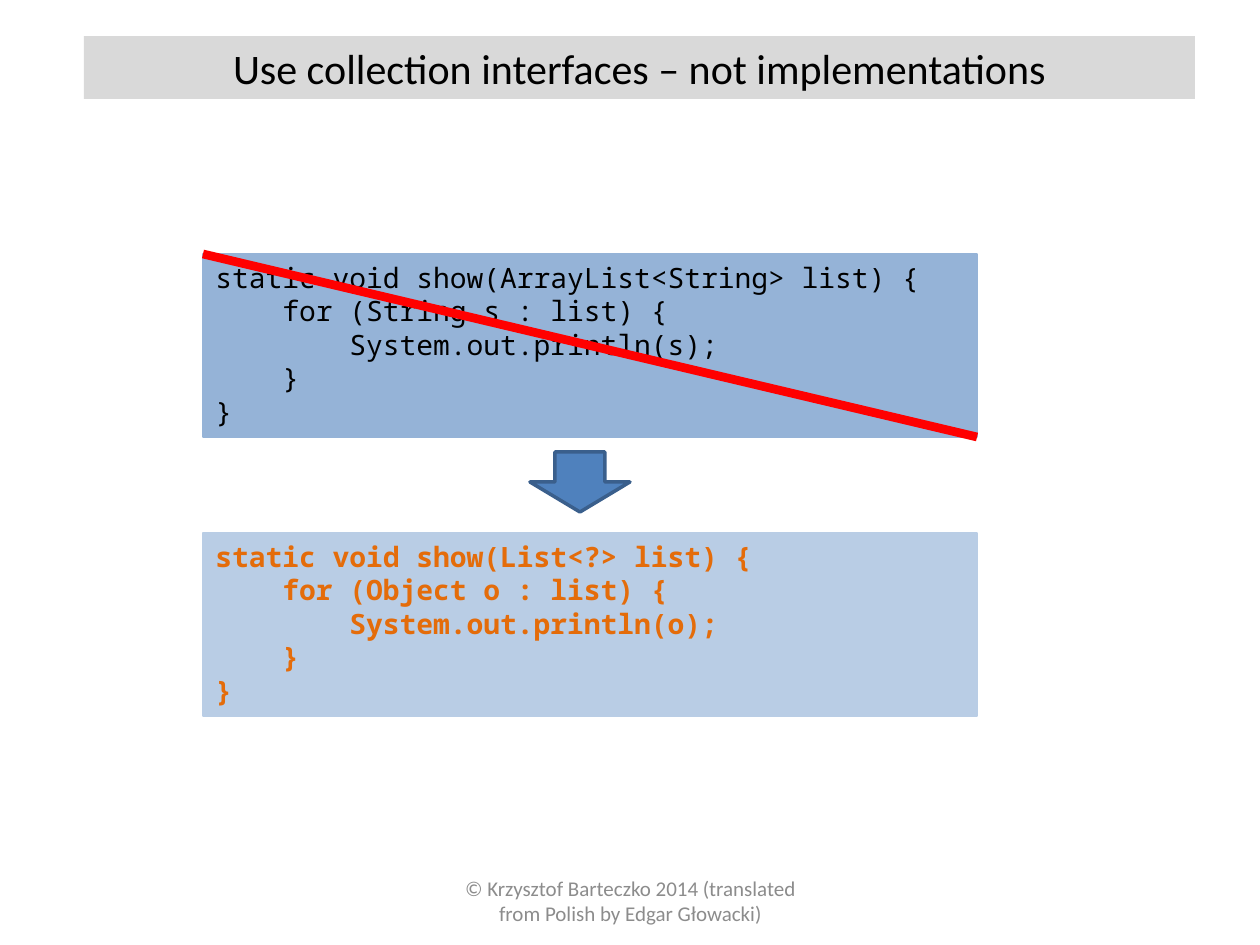
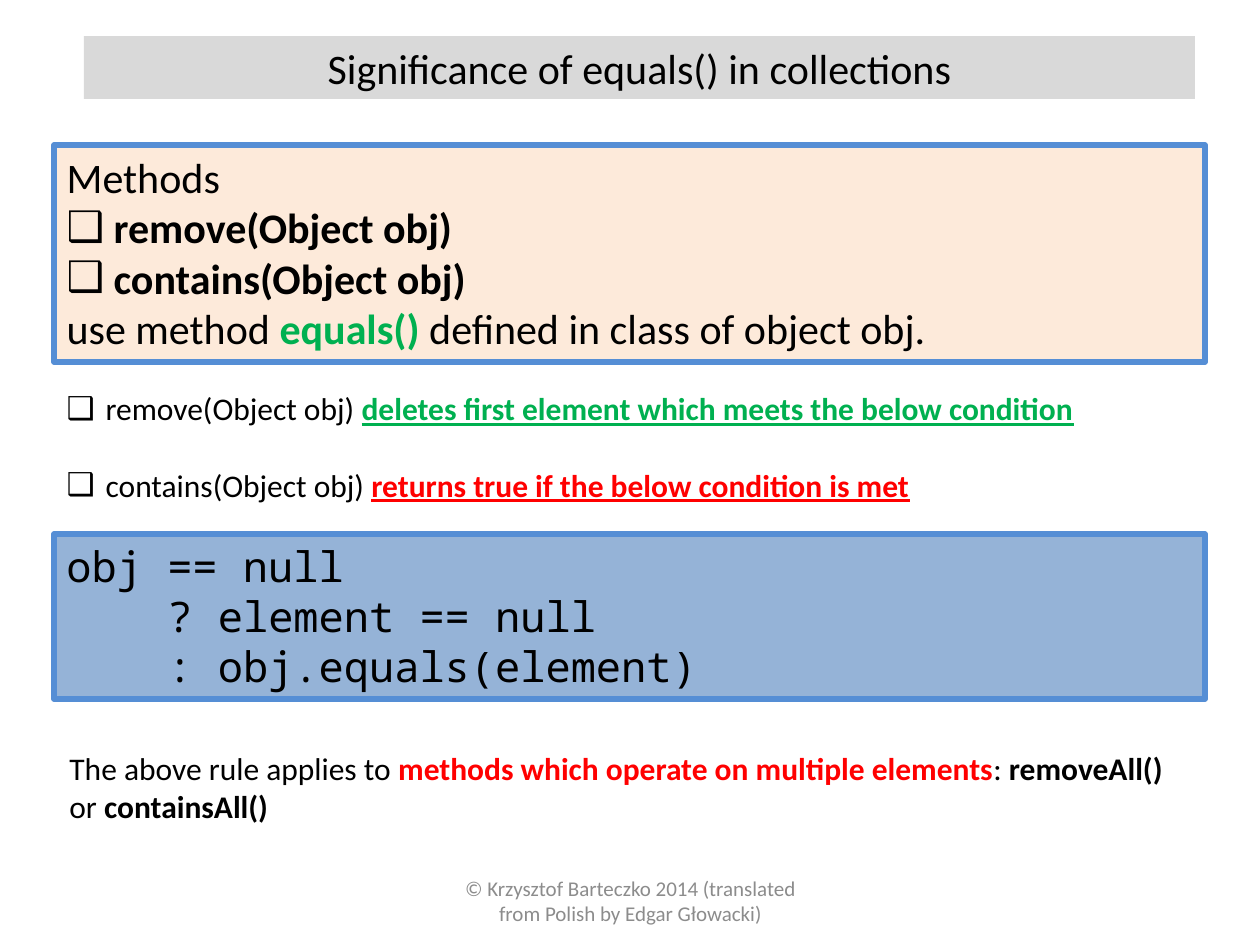
"""Build two slides on Java collection interfaces and equals()."""
from dataclasses import dataclass
from typing import NamedTuple, Optional

from lxml import etree
from pptx import Presentation
from pptx import util as u
from pptx.dml.color import RGBColor
from pptx.enum import shapes, text
from pptx.oxml.ns import qn

PIXELS_PER_INCH = 126
CODE_INDENT_PER_POINT = 4.2
FOOTER = "© Krzysztof Barteczko 2014 (translated from Polish by Edgar Głowacki)"


@dataclass(frozen=True)
class Theme:
    """Colours, fonts and type sizes of the deck."""
    body_font: str = "Calibri"
    code_font: str = "Noto Sans Mono"
    black: str = "000000"
    white: str = "FFFFFF"
    grey: str = "8C8C8C"
    title_band: str = "D9D9D9"
    code_fill: str = "95B3D7"
    light_code_fill: str = "B9CDE5"
    peach: str = "FDEADA"
    border: str = "558ED5"
    arrow_fill: str = "4F81BD"
    arrow_line: str = "3A5F8C"
    red: str = "FF0000"
    green: str = "00B050"
    orange: str = "E46C0A"
    large: int = 24
    medium: int = 18
    code: int = 16
    small: int = 12


THEME = Theme()


class Box(NamedTuple):
    """Position and size in pixels."""
    left: int
    top: int
    width: int
    height: int


class Span(NamedTuple):
    """A piece of text with its emphasis."""
    text: str
    color: str = THEME.black
    bold: bool = False
    underline: bool = False


class Line(NamedTuple):
    """A paragraph of spans, with indents in pixels and space in points."""
    spans: tuple
    bullet: str = ""
    margin: int = 0
    hanging: int = 0
    space_before: int = 0


class CodeLine(NamedTuple):
    """A line of code at an indent level."""
    level: int
    text: str


@dataclass(frozen=True)
class CodePanel:
    """A filled panel of code."""
    box: Box
    lines: tuple
    fill: str
    border: str
    border_width: float = 0.75
    size: int = THEME.code
    color: str = THEME.black
    bold: bool = False


def px(value: float) -> int:
    """Turn pixels into EMU."""
    return round(value * u.Inches(1) / PIXELS_PER_INCH)


def place(shape, box: Box) -> None:
    """Move and size a shape."""
    shape.left, shape.top, shape.width, shape.height = map(px, box)


def paint(shape, fill: str, border: Optional[str] = None, width: float = 0) -> None:
    """Set the fill and outline of a shape."""
    shape.fill.solid()
    shape.fill.fore_color.rgb = RGBColor.from_string(fill)
    if border is None:
        shape.line.fill.background()
    else:
        shape.line.color.rgb = RGBColor.from_string(border)
        shape.line.width = u.Pt(width)


def add_run(paragraph, content: str, *, size: float, color: str = THEME.black,
            font: str = THEME.body_font, bold: bool = False, underline: bool = False) -> None:
    """Append formatted text to a paragraph."""
    run = paragraph.add_run()
    run.text = content
    run.font.name = font
    run.font.size = u.Pt(size)
    run.font.bold = bold
    run.font.underline = underline
    run.font.color.rgb = RGBColor.from_string(color)


def indent(paragraph, line: Line) -> None:
    """Set the indents and the bullet of a paragraph."""
    properties = paragraph._p.get_or_add_pPr()
    properties.set("marL", str(px(line.margin)))
    properties.set("indent", str(-px(line.hanging)))
    if line.bullet:
        etree.SubElement(properties, qn("a:buChar")).set("char", line.bullet)
    else:
        etree.SubElement(properties, qn("a:buNone"))


def fill_text(shape, lines, *, size: float, font: str = THEME.body_font,
              align=text.PP_ALIGN.LEFT, anchor=text.MSO_ANCHOR.TOP) -> None:
    """Write lines into the text frame of a shape."""
    frame = shape.text_frame
    frame.word_wrap = True
    frame.auto_size = text.MSO_AUTO_SIZE.NONE
    frame.vertical_anchor = anchor
    for index, line in enumerate(lines):
        paragraph = frame.add_paragraph() if index else frame.paragraphs[0]
        paragraph.alignment = align
        paragraph.space_before = u.Pt(line.space_before)
        indent(paragraph, line)
        for span in line.spans:
            add_run(paragraph, span.text, size=size, font=font, color=span.color,
                    bold=span.bold, underline=span.underline)


def add_text_box(slide, box: Box, line: Line, *, size: float, **layout) -> None:
    """Add a text box with one paragraph."""
    fill_text(slide.shapes.add_textbox(*map(px, box)), [line], size=size, **layout)


def add_preset(slide, kind, box: Box, fill: str, border: str, width: float):
    """Add a painted preset shape without a shadow."""
    shape = slide.shapes.add_shape(kind, *map(px, box))
    shape.shadow.inherit = False
    paint(shape, fill, border, width)
    return shape


def add_code(slide, panel: CodePanel) -> None:
    """Add a panel of indented code."""
    shape = add_preset(slide, shapes.MSO_SHAPE.RECTANGLE, panel.box,
                       panel.fill, panel.border, panel.border_width)
    step = round(panel.size * CODE_INDENT_PER_POINT)
    lines = [Line((Span(line.text, panel.color, panel.bold),), margin=line.level * step)
             for line in panel.lines]
    fill_text(shape, lines, size=panel.size, font=THEME.code_font)


def add_strike(slide, box: Box, color: str, width: float) -> None:
    """Add a diagonal line across a box."""
    line = slide.shapes.add_connector(
        shapes.MSO_CONNECTOR.STRAIGHT, px(box.left), px(box.top),
        px(box.left + box.width), px(box.top + box.height))
    line.line.color.rgb = RGBColor.from_string(color)
    line.line.width = u.Pt(width)
    etree.SubElement(line._element.spPr, qn("a:effectLst"))


def add_list(placeholder, box: Box, lines, *, size: float, fill: str, border: str) -> None:
    """Format a body placeholder as a bordered list."""
    place(placeholder, box)
    paint(placeholder, fill, border, 3.25)
    fill_text(placeholder, lines, size=size)


def add_slide(presentation, layout: str, title: str):
    """Add a slide with the title band and the footer."""
    slide = presentation.slides.add_slide(presentation.slide_layouts.get_by_name(layout))
    band = slide.shapes.title
    place(band, Box(84, 36, 1111, 63))
    paint(band, THEME.title_band)
    fill_text(band, [Line((Span(title),))], size=THEME.large, align=text.PP_ALIGN.CENTER)
    add_text_box(slide, Box(431, 876, 399, 50), Line((Span(FOOTER, THEME.grey),)),
                 size=THEME.small, align=text.PP_ALIGN.CENTER, anchor=text.MSO_ANCHOR.MIDDLE)
    return slide


def show_method(parameter: str, loop: str, variable: str) -> tuple:
    """Return the lines of a show method."""
    return (CodeLine(0, f"static void show({parameter} list) {{"),
            CodeLine(1, f"for ({loop} {variable} : list) {{"),
            CodeLine(2, f"System.out.println({variable});"),
            CodeLine(1, "}"),
            CodeLine(0, "}"))


def bullet(*spans: Span, hang: int, space_before: int = 0) -> Line:
    """Return a bulleted line with a hanging indent."""
    return Line(spans, "❑", hang, hang, space_before)


def build_interfaces(presentation) -> None:
    """Build the slide on collection interfaces."""
    slide = add_slide(presentation, "Title Only",
                      "Use collection interfaces – not implementations")
    before = Box(203, 254, 774, 183)
    after = before._replace(top=533)
    add_code(slide, CodePanel(before, show_method("ArrayList<String>", "String", "s"),
                              THEME.code_fill, THEME.code_fill))
    add_strike(slide, before, THEME.red, 5)
    add_code(slide, CodePanel(after, show_method("List<?>", "Object", "o"),
                              THEME.light_code_fill, THEME.light_code_fill,
                              color=THEME.orange, bold=True))
    add_preset(slide, shapes.MSO_SHAPE.DOWN_ARROW, Box(530, 452, 100, 60),
               THEME.arrow_fill, THEME.arrow_line, 2)


def build_equals(presentation) -> None:
    """Build the slide on equals() in collections."""
    slide = add_slide(presentation, "Two Content", "Significance of equals() in collections")
    methods, effects = (slide.placeholders[index] for index in (1, 2))
    panel = Box(54, 145, 1151, 217)
    add_list(methods, panel, [
        Line((Span("Methods"),)),
        bullet(Span("remove(Object obj)", bold=True), hang=47),
        bullet(Span("contains(Object obj)", bold=True), hang=47),
        Line((Span("use method "), Span("equals() ", THEME.green, True),
              Span("defined in class of object obj."))),
    ], size=THEME.large, fill=THEME.peach, border=THEME.border)
    add_list(effects, panel._replace(top=383, height=127), [
        bullet(Span("remove(Object obj) "),
               Span("deletes first element which meets the below condition",
                    THEME.green, True, True), hang=39),
        bullet(Span("contains(Object obj) "),
               Span("returns true if the below condition is met",
                    THEME.red, True, True), hang=39, space_before=22),
    ], size=THEME.medium, fill=THEME.white, border=THEME.white)
    add_text_box(slide, Box(57, 743, 1150, 90), Line((
        Span("The above rule applies to "),
        Span("methods which operate on multiple elements", THEME.red, True),
        Span(": "), Span("removeAll() ", bold=True),
        Span("or "), Span("containsAll()", bold=True))), size=THEME.medium)
    add_code(slide, CodePanel(
        panel._replace(top=534, height=165),
        (CodeLine(0, "obj == null"), CodeLine(1, "? element == null"),
         CodeLine(1, ": obj.equals(element)")),
        THEME.code_fill, THEME.border, 3.25, THEME.large))


def main() -> None:
    """Build and save the presentation."""
    presentation = Presentation()
    presentation.slide_width, presentation.slide_height = u.Inches(10), u.Inches(7.5)
    build_interfaces(presentation)
    build_equals(presentation)
    presentation.save("out.pptx")


main()
